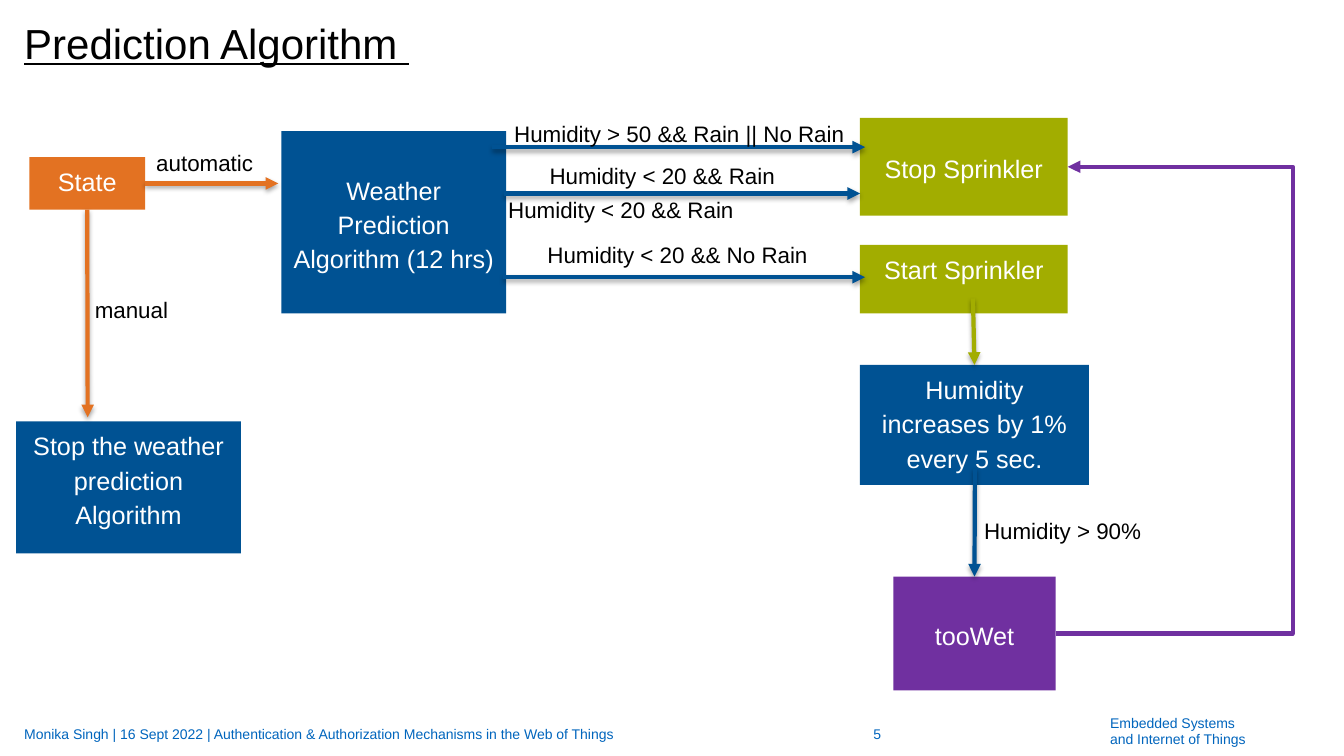
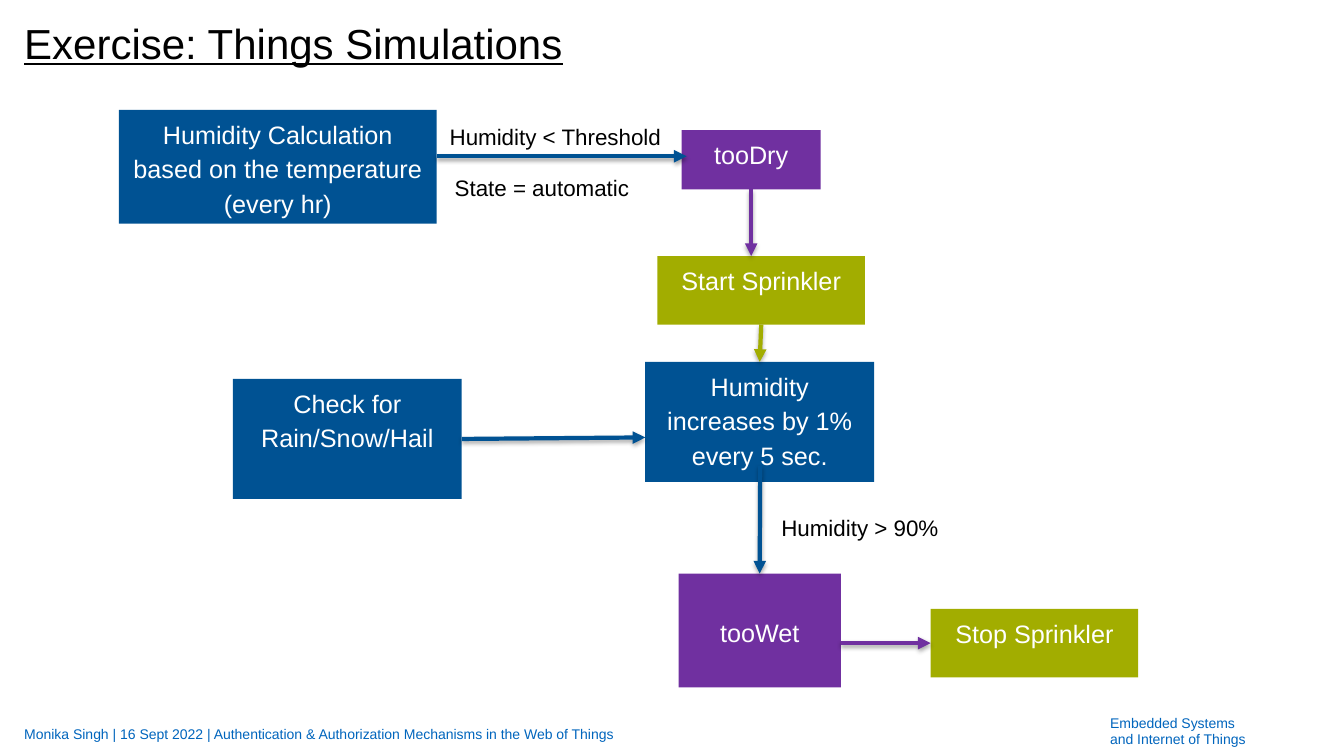
from dataclasses import dataclass

from lxml import etree
from pptx import Presentation
from pptx import util as u
from pptx.dml.color import RGBColor
from pptx.enum import shapes, text
from pptx.oxml.ns import qn


@dataclass(frozen=True)
class Theme:
    """Colours, type sizes and line weights that the pages share."""
    font: str = "Arial"
    ink: str = "000000"
    paper: str = "FFFFFF"
    footer: str = "0065BD"
    blue: str = "005293"
    green: str = "A2AD00"
    orange: str = "E37222"
    purple: str = "7030A0"
    title_size: int = 30
    box_size: int = 18
    label_size: int = 16
    footer_size: int = 10
    stroke: int = 3
    leading: float = 1.14


@dataclass(frozen=True)
class Grid:
    """A region in slide lengths, divided into columns and rows."""
    left: int
    top: int
    width: int
    height: int
    columns: float
    rows: float

    def size(self, columns, rows):
        """Turn a span of columns and rows into lengths."""
        return (round(self.width * columns / self.columns),
                round(self.height * rows / self.rows))

    def point(self, column, row):
        """Turn a grid position into a slide position."""
        across, down = self.size(column, row)
        return self.left + across, self.top + down

    def area(self, column, row, columns, rows):
        """Turn a grid rectangle into left, top, width and height."""
        return (*self.point(column, row), *self.size(columns, rows))

    def region(self, column, row, columns, rows):
        """Give a smaller region that keeps the same cell size."""
        return Grid(*self.area(column, row, columns, rows), columns, rows)


THEME = Theme()
COLUMNS, ROWS = 13.33, 7.5
PAGE = Grid(0, 0, u.Inches(COLUMNS), u.Inches(ROWS), COLUMNS, ROWS)
HEADER = PAGE.region(0, 0, COLUMNS, 1)
BODY = PAGE.region(0, 1, COLUMNS, 6)
FOOTER = PAGE.region(0, 7, COLUMNS, 0.5)
TOP, LEFT, BOTTOM, RIGHT = range(4)
CENTER = text.PP_ALIGN.CENTER
MIDDLE = text.MSO_ANCHOR.MIDDLE


def write(frame, words, *, size, colour=THEME.ink, align=text.PP_ALIGN.LEFT,
          anchor=text.MSO_ANCHOR.TOP, spacing=THEME.leading, inset=(0, 0),
          underline=False):
    """Fill a text frame with one formatted paragraph for each line."""
    frame.word_wrap = True
    frame.auto_size = text.MSO_AUTO_SIZE.NONE
    frame.vertical_anchor = anchor
    frame.margin_left = frame.margin_right = u.Inches(inset[0])
    frame.margin_top = frame.margin_bottom = u.Inches(inset[1])
    for index, line in enumerate(words.split("\n")):
        para = frame.add_paragraph() if index else frame.paragraphs[0]
        para.alignment = align
        para.line_spacing = spacing
        span = para.add_run()
        span.text = line
        span.font.name = THEME.font
        span.font.size = u.Pt(size)
        span.font.color.rgb = RGBColor.from_string(colour)
        span.font.underline = underline


def add_text(page, area, words, **style):
    """Add a text box with the given format."""
    write(page.shapes.add_textbox(*area).text_frame, words, **style)


def add_label(page, area, words):
    """Add the caption of an arrow."""
    add_text(page, area, words, size=THEME.label_size)


def add_box(page, area, words, fill, anchor=text.MSO_ANCHOR.TOP):
    """Add a filled step of the flow."""
    box = page.shapes.add_shape(shapes.MSO_SHAPE.RECTANGLE, *area)
    box.shadow.inherit = False
    box.fill.solid()
    box.fill.fore_color.rgb = RGBColor.from_string(fill)
    box.line.fill.background()
    write(box.text_frame, words, size=THEME.box_size, colour=THEME.paper,
          align=CENTER, anchor=anchor, inset=(0.1, 0.05))
    return box


def add_arrow(page, grid, start, end, colour, bend_at=None):
    """Link two ends, each a grid position or a pair of box and side."""
    kind = (shapes.MSO_CONNECTOR.STRAIGHT if bend_at is None
            else shapes.MSO_CONNECTOR.ELBOW)
    joined = [not isinstance(spot[0], (int, float)) for spot in (start, end)]
    first, last = (grid.point(0, 0) if join else grid.point(*spot)
                   for join, spot in zip(joined, (start, end)))
    arrow = page.shapes.add_connector(kind, *first, *last)
    if joined[0]:
        arrow.begin_connect(*start)
    if joined[1]:
        arrow.end_connect(*end)
    arrow.line.color.rgb = RGBColor.from_string(colour)
    arrow.line.width = u.Pt(THEME.stroke)
    properties = arrow.element.spPr
    etree.SubElement(properties.find(qn("a:ln")), qn("a:tailEnd"),
                     type="triangle")
    effects = etree.SubElement(properties, qn("a:effectLst"))
    if bend_at is None:
        shadow = etree.SubElement(effects, qn("a:outerShdw"), blurRad="40000",
                                  dist="23000", dir="5400000", rotWithShape="0")
        tone = etree.SubElement(shadow, qn("a:srgbClr"), val=THEME.ink)
        etree.SubElement(tone, qn("a:alpha"), val="35000")
    else:
        bend = grid.point(bend_at, 0)[0] - arrow.begin_x
        share = round(100000 * bend / (arrow.end_x - arrow.begin_x))
        guides = properties.find(qn("a:prstGeom")).get_or_add_avLst()
        etree.SubElement(guides, qn("a:gd"), name="adj1", fmla=f"val {share}")


def add_header(page, grid, words):
    """Move and format the title placeholder."""
    title = page.shapes.title
    title.left, title.top, title.width, title.height = grid.area(
        0.24, 0.23, 12.87, 0.45)
    write(title.text_frame, words, size=THEME.title_size,
          spacing=u.Pt(32), underline=True)


def add_footer(page, grid, number):
    """Add the credit line, the department and, if given, the number."""
    style = {"size": THEME.footer_size, "colour": THEME.footer}
    line = {**style, "anchor": MIDDLE, "spacing": 1.0, "inset": (0, 0.05)}
    add_text(page, grid.area(11.01, 0.1, 1.62, 0.32),
             "Embedded Systems\nand Internet of Things", spacing=0.94, **style)
    add_text(page, grid.area(0.24, 0.08, 7.62, 0.4),
             "Monika Singh | 16 Sept 2022 | Authentication & Authorization "
             "Mechanisms in the Web of Things", **line)
    if number:
        add_text(page, grid.area(8.08, 0.08, 1.24, 0.4), number,
                 align=CENTER, **line)


def add_wetting(page, grid, column, row, label_column):
    """Add the humidity rise and the too wet event below it."""
    rise = add_box(page, grid.area(column, row, 2.27, 1.19),
                   "Humidity increases by 1% every 5 sec.", THEME.blue)
    wet = add_box(page, grid.area(column + 0.33, row + 2.1, 1.61, 1.13),
                  "tooWet", THEME.purple, MIDDLE)
    add_arrow(page, grid, (column + 1.14, row + 1.03), (wet, TOP), THEME.blue)
    add_label(page, grid.area(label_column, row + 1.47, 1.66, 0.28),
              "Humidity > 90%")
    return rise, wet


def draw_prediction(page, grid):
    """Draw the flow from the state to the sprinkler commands."""
    add_box(page, grid.area(8.53, 1.43, 2.06, 0.68),
            "Start Sprinkler", THEME.green)
    stop = add_box(page, grid.area(8.53, 0.17, 2.06, 0.97),
                   "Stop Sprinkler", THEME.green, MIDDLE)
    add_box(page, grid.area(2.79, 0.3, 2.23, 1.81),
            "Weather Prediction Algorithm (12 hrs)", THEME.blue, MIDDLE)
    state = add_box(page, grid.area(0.29, 0.56, 1.15, 0.52),
                    "State", THEME.orange)
    add_box(page, grid.area(0.16, 3.18, 2.23, 1.31),
            "Stop the weather prediction Algorithm", THEME.blue)
    rise, wet = add_wetting(page, grid, 8.53, 2.62, 9.76)

    for start, end, colour in (
            ((state, RIGHT), (2.76, 0.82), THEME.orange),
            ((state, BOTTOM), (0.87, 3.14), THEME.orange),
            ((4.88, 0.46), (8.58, 0.46), THEME.blue),
            ((5, 0.92), (8.53, 0.92), THEME.blue),
            ((4.99, 1.75), (8.58, 1.75), THEME.blue),
            ((9.65, 1.96), (rise, TOP), THEME.green)):
        add_arrow(page, grid, start, end, colour)
    add_arrow(page, grid, (wet, RIGHT), (stop, RIGHT), THEME.purple,
              bend_at=12.82)

    for column, row, columns, words in (
            (1.55, 0.44, 1.66, "automatic"),
            (0.94, 1.9, 1.66, "manual"),
            (5.1, 0.15, 3.35, "Humidity > 50 && Rain || No Rain"),
            (5.45, 0.57, 3.35, "Humidity < 20 && Rain"),
            (5.04, 0.91, 3.35, "Humidity < 20 && Rain"),
            (5.43, 1.36, 3.35, "Humidity < 20 && No Rain")):
        add_label(page, grid.area(column, row, columns, 0.28), words)


def draw_simulation(page, grid):
    """Draw the flow from the humidity reading to the stop command."""
    start = add_box(page, grid.area(6.52, 1.54, 2.06, 0.68),
                    "Start Sprinkler", THEME.green)
    stop = add_box(page, grid.area(9.23, 5.04, 2.06, 0.68),
                   "Stop Sprinkler", THEME.green)
    dry = add_box(page, grid.area(6.76, 0.29, 1.38, 0.59),
                  "tooDry", THEME.purple)
    add_box(page, grid.area(1.18, 0.09, 3.15, 1.13),
            "Humidity Calculation based on the temperature (every hr)",
            THEME.blue)
    check = add_box(page, grid.area(2.31, 2.76, 2.27, 1.19),
                    "Check for Rain/Snow/Hail", THEME.blue)
    rise, _ = add_wetting(page, grid, 6.4, 2.59, 7.75)

    for begin, end, colour in (
            ((check, RIGHT), (6.4, 3.34), THEME.blue),
            ((4.33, 0.55), (6.81, 0.55), THEME.blue),
            ((dry, BOTTOM), (7.45, 1.54), THEME.purple),
            ((start, BOTTOM), (rise, TOP), THEME.green),
            ((8.34, 5.38), (stop, LEFT), THEME.purple)):
        add_arrow(page, grid, begin, end, colour)

    for column, row, words in ((4.46, 0.18, "Humidity < Threshold"),
                               (4.51, 0.69, "State = automatic")):
        add_label(page, grid.area(column, row, 3.15, 0.28), words)


def main():
    """Build and save the deck."""
    deck = Presentation()
    deck.slide_width, deck.slide_height = PAGE.width, PAGE.height
    title_only = deck.slide_layouts[5]
    for title, number, draw in (
            ("Prediction Algorithm ", "5", draw_prediction),
            ("Exercise: Things Simulations", None, draw_simulation)):
        page = deck.slides.add_slide(title_only)
        add_footer(page, FOOTER, number)
        add_header(page, HEADER, title)
        draw(page, BODY)
    deck.save("out.pptx")


if __name__ == "__main__":
    main()
